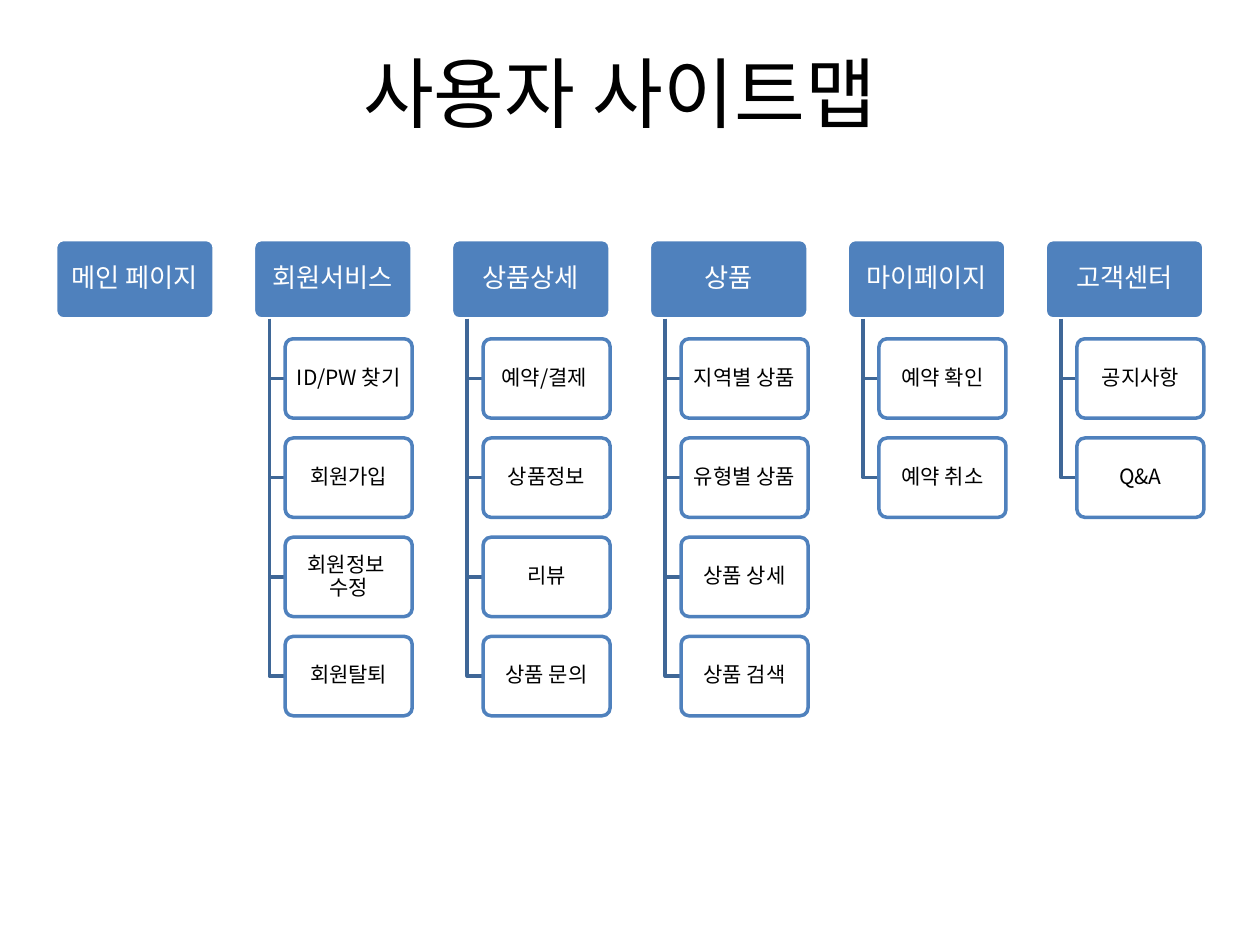
from lxml.etree import SubElement
from pptx import Presentation
from pptx.dml.color import RGBColor
from pptx.enum.shapes import MSO_SHAPE as Preset
from pptx.enum.text import MSO_ANCHOR as Anchor, PP_ALIGN as Align
from pptx.oxml.ns import qn
from pptx.util import Cm, Pt

SITEMAP = [
    ("메인 페이지", []),
    ("회원서비스", ["ID/PW 찾기", "회원가입", "회원정보 \n수정", "회원탈퇴"]),
    ("상품상세", ["예약/결제 ", "상품정보", "리뷰", "상품 문의"]),
    ("상품", ["지역별 상품", "유형별 상품", "상품 상세", "상품 검색"]),
    ("마이페이지", ["예약 확인", "예약 취소"]),
    ("고객센터", ["공지사항", "Q&A"]),
]
LEFT, TOP = 1.12, 4.83
COLUMN_STEP, ROW_STEP = 3.99, 2
MENU_WIDTH, PAGE_WIDTH, BOX_HEIGHT = 3.2, 2.56, 1.6
STEM_INDENT, PAGE_INDENT = 0.32, 0.64


def color(hex_code):
    return RGBColor.from_string(hex_code)


class SitemapSlide:
    font = "Noto Sans CJK KR"
    blue, dark_blue, white, black = "4F81BD", "3F6797", "FFFFFF", "000000"

    def __init__(self, deck):
        self.slide = deck.slides.add_slide(deck.slide_layouts[6])

    def label(self, frame, text, size, ink):
        frame.word_wrap = True
        frame.vertical_anchor = Anchor.MIDDLE
        paragraph = frame.paragraphs[0]
        paragraph.text = text
        paragraph.alignment = Align.CENTER
        paragraph.font.size = Pt(size)
        paragraph.font.color.rgb = color(ink)
        paragraph.font.name = self.font
        defaults = paragraph._p.find(".//" + qn("a:defRPr"))
        SubElement(defaults, qn("a:ea"), typeface=self.font)
        return paragraph

    def title(self, text):
        heading = self.slide.shapes.add_textbox(Cm(1.7), Cm(0.74), Cm(21.59), Cm(2.2))
        self.label(heading.text_frame, text, 44, self.black)

    def box(self, text, left, top, width, size, fill, outline, ink):
        box = self.slide.shapes.add_shape(
            Preset.ROUNDED_RECTANGLE, Cm(left), Cm(top), Cm(width), Cm(BOX_HEIGHT))
        box.adjustments[0] = 0.1
        box.shadow.inherit = False
        box.fill.solid()
        box.fill.fore_color.rgb = color(fill)
        box.line.color.rgb = color(outline)
        box.line.width = Pt(2)
        frame = box.text_frame
        frame.margin_left = frame.margin_right = Cm(0.13)
        frame.margin_top = frame.margin_bottom = Cm(0.1)
        self.label(frame, text, size, ink).line_spacing = 0.9
        return box

    def menu(self, text, left):
        self.box(text, left, TOP, MENU_WIDTH, 15, self.blue, self.white, self.white)

    def page(self, text, left, top):
        page = self.box(text, left, top, PAGE_WIDTH, 12, self.white, self.blue, self.black)
        tint = page._element.spPr.find(qn("a:solidFill"))[0]
        SubElement(tint, qn("a:alpha"), val="90000")

    def branch(self, left, right, top, bottom):
        outline = self.slide.shapes.build_freeform(Cm(left), Cm(top))
        outline.add_line_segments(
            [(Cm(left), Cm(bottom)), (Cm(right), Cm(bottom))], close=False)
        branch = outline.convert_to_shape()
        branch.shadow.inherit = False
        branch.fill.background()
        branch.line.color.rgb = color(self.dark_blue)
        branch.line.width = Pt(2)


def main():
    deck = Presentation()
    deck.slide_width, deck.slide_height = Cm(25.4), Cm(19.05)
    sitemap = SitemapSlide(deck)
    for column, (menu, pages) in enumerate(SITEMAP):
        left = LEFT + column * COLUMN_STEP
        page_left = left + PAGE_INDENT
        sitemap.menu(menu, left)
        for row, page in enumerate(pages, start=1):
            top = TOP + row * ROW_STEP
            sitemap.branch(left + STEM_INDENT, page_left,
                           TOP + BOX_HEIGHT, top + BOX_HEIGHT / 2)
            sitemap.page(page, page_left, top)
    sitemap.title("사용자 사이트맵")
    deck.save("out.pptx")


if __name__ == "__main__":
    main()
